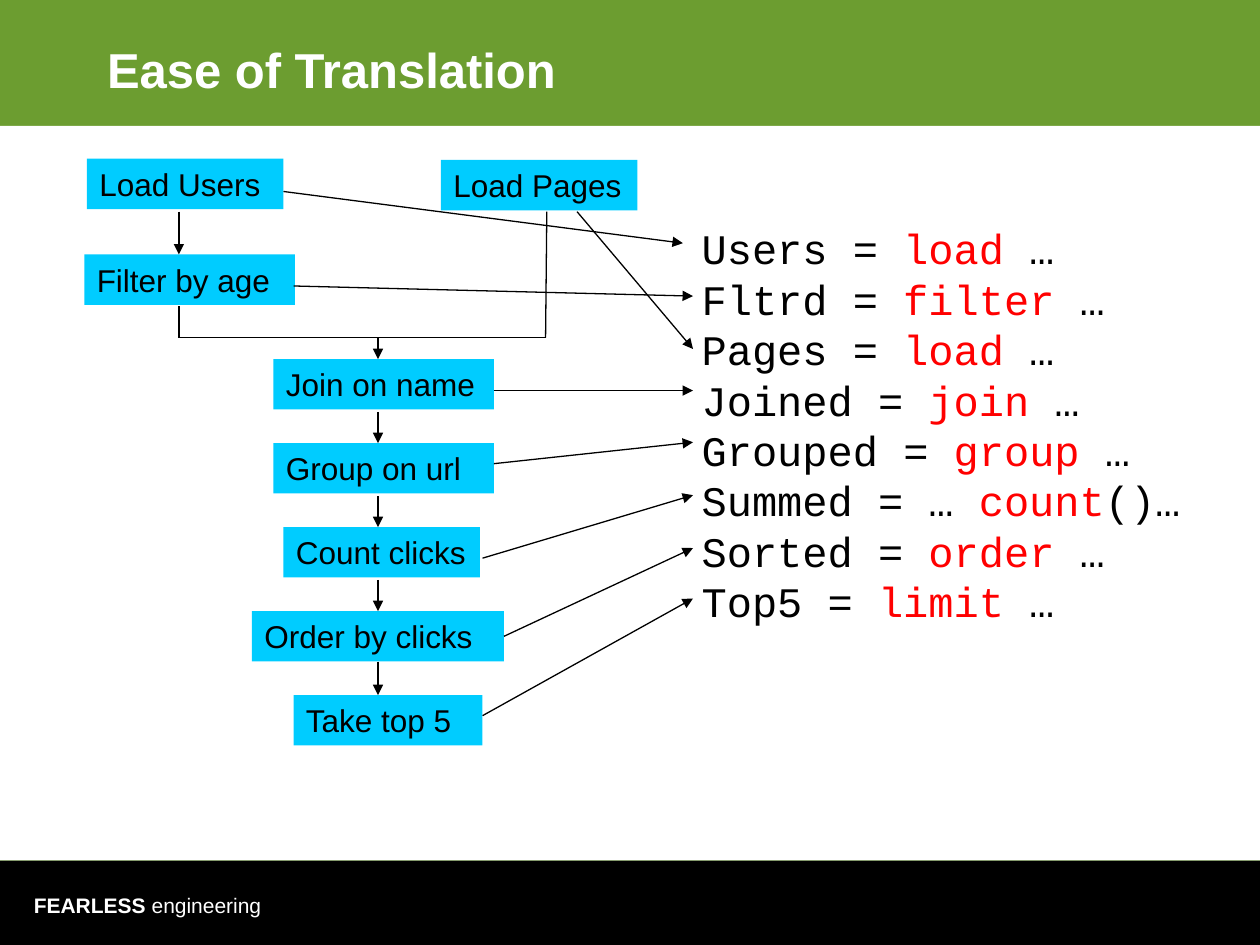
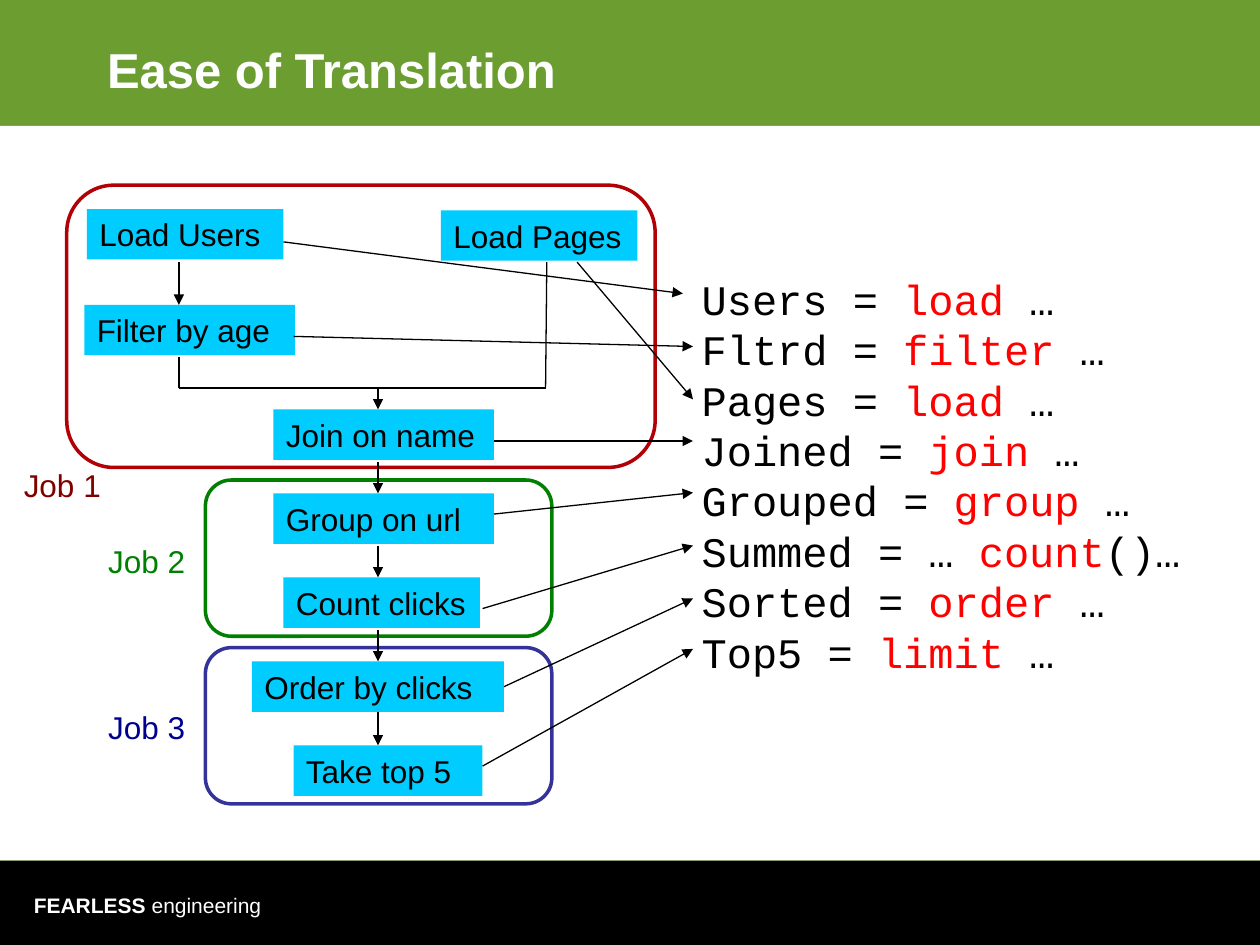
"""Build two slides that map a data flow to script statements."""
from lxml.etree import SubElement
from pptx import Presentation
from pptx.dml.color import RGBColor
from pptx.enum.shapes import MSO_CONNECTOR as CONNECTOR, MSO_SHAPE as SHAPE
from pptx.enum.text import MSO_ANCHOR as ANCHOR, PP_ALIGN as ALIGN
from pptx.oxml.ns import qn
from pptx.util import Inches, Pt

GREEN, BLACK, WHITE, CYAN, RED = "6C9D30", "000000", "FFFFFF", "00CCFF", "FF0000"
STEP = 2 / 3
STACK_TOP = 2.85


def add_span(para, text, size, color, font="Arial", bold=False):
    span = para.add_run()
    span.text = text
    span.font.name, span.font.size, span.font.bold = font, Pt(size), bold
    span.font.color.rgb = RGBColor.from_string(color)


def add_line(page, x1, y1, x2, y2, arrow=True):
    line = page.shapes.add_connector(CONNECTOR.STRAIGHT, Inches(x1), Inches(y1), Inches(x2), Inches(y2))
    line.line.width = Pt(0.75)
    line.line.color.rgb = RGBColor.from_string(BLACK)
    if arrow:
        SubElement(line.line._get_or_add_ln(), qn("a:tailEnd"), type="triangle")
    SubElement(line._element.spPr, qn("a:effectLst"))
    return line


flow_boxes = [
    ("Load Users", 0.69, 1.26, 1.56),
    ("Load Pages", 3.5, 1.27, 1.56),
    ("Filter by age", 0.67, 2.02, 1.67),
]
stacked = [
    ("Join on name", 2.17, 1.75),
    ("Group on url", 2.17, 1.75),
    ("Count clicks", 2.25, 1.56),
    ("Order by clicks", 2, 2),
    ("Take top 5", 2.33, 1.5),
]
flow_boxes += [(name, left, STACK_TOP + i * STEP, width) for i, (name, left, width) in enumerate(stacked)]

code_arrows = [
    (2.25, 1.52, 5.42, 1.93),
    (2.33, 2.27, 5.5, 2.35),
    (4.58, 1.68, 5.5, 2.77),
    (3.92, 3.1, 5.5, 3.1),
    (3.92, 3.68, 5.5, 3.51),
    (3.83, 4.43, 5.5, 3.93),
    (3.83, 5.68, 5.5, 4.75),
]
join_lines = [
    (1.42, 2.43, 1.42, 2.68),
    (1.42, 2.68, 4.33, 2.68),
    (4.33, 2.68, 4.34, 1.68),
]
statements = [
    ("Users = ", "load", " …"),
    ("Fltrd = ", "filter", " … "),
    ("Pages = ", "load", " …"),
    ("Joined = ", "join", " …"),
    ("Grouped = ", "group", " …"),
    ("Summed = … ", "count", "()…"),
    ("Sorted = ", "order", " …"),
    ("Top5 = ", "limit", " …"),
]
jobs = [
    ("Job 3", 0.76, 5.57, "000090", (1.63, 5.14, 2.75, 1.24), "333399"),
    ("Job 2", 0.76, 4.25, "008000", (1.63, 3.81, 2.75, 1.24), "008000"),
    ("Job 1", 0.09, 3.65, "800000", (0.53, 1.47, 4.67, 2.24), "B10006"),
]

deck = Presentation()
deck.slide_width, deck.slide_height = Inches(10), Inches(7.5)
master = deck.slide_master
master.background.fill.solid()
master.background.fill.fore_color.rgb = RGBColor.from_string(GREEN)
pages = [deck.slides.add_slide(deck.slide_layouts[5]) for _ in range(2)]

shared = []
for top, height, color in [(6.83, 0.67, BLACK), (1, 5.83, WHITE)]:
    band = pages[0].shapes.add_shape(SHAPE.RECTANGLE, 0, Inches(top), Inches(10), Inches(height))
    band.shadow.inherit = False
    band.fill.solid()
    band.fill.fore_color.rgb = RGBColor.from_string(color)
    band.line.fill.background()
    shared.append(band)
footer = pages[0].shapes.add_textbox(Inches(0.17), Inches(7.03), Inches(4.33), Inches(0.3))
footer.text_frame.word_wrap = True
footer.text_frame.vertical_anchor = ANCHOR.MIDDLE
add_span(footer.text_frame.paragraphs[0], "FEARLESS", 12, WHITE, bold=True)
add_span(footer.text_frame.paragraphs[0], " engineering", 12, WHITE)
shared.append(footer)
for number, shape in enumerate(shared, 20):
    shape._element.xpath(".//p:cNvPr")[0].set("id", str(number))
    master.shapes.element.append(shape._element)

for page, shift, page_jobs in zip(pages, (0, 0.4), ([], jobs)):
    title = page.shapes.title
    title.left, title.top, title.width, title.height = Inches(0.75), Inches(0.17), Inches(8.5), Inches(0.75)
    title.text_frame.vertical_anchor = ANCHOR.MIDDLE
    para = title.text_frame.paragraphs[0]
    para.alignment = ALIGN.LEFT
    add_span(para, "Ease of Translation", 28, WHITE, bold=True)

    for name, left, top, color, frame, outline in page_jobs:
        job = page.shapes.add_shape(SHAPE.ROUNDED_RECTANGLE, *map(Inches, frame))
        job.shadow.inherit = False
        job.fill.solid()
        job.fill.fore_color.rgb = RGBColor.from_string(WHITE)
        job.line.color.rgb = RGBColor.from_string(outline)
        job.line.width = Pt(2)

    boxes = {}
    for name, left, top, width in flow_boxes:
        box = page.shapes.add_shape(
            SHAPE.RECTANGLE, Inches(left), Inches(top + shift), Inches(width), Inches(0.4))
        box.shadow.inherit = False
        box.fill.solid()
        box.fill.fore_color.rgb = RGBColor.from_string(CYAN)
        box.line.fill.background()
        box.text_frame.word_wrap = True
        box.text_frame.vertical_anchor = ANCHOR.TOP
        para = box.text_frame.paragraphs[0]
        para.alignment = ALIGN.LEFT
        add_span(para, name, 18, BLACK)
        boxes[name] = box

    add_line(page, 1.42, 1.68 + shift, 1.42, 2.02 + shift)
    add_line(page, 3, 2.68 + shift, 3, STACK_TOP + shift)
    for x1, y1, x2, y2 in join_lines:
        add_line(page, x1, y1 + shift, x2, y2 + shift, arrow=False)
    for i in range(len(stacked) - 1):
        top = STACK_TOP + i * STEP + shift
        down = add_line(page, 3, top + 0.42, 3, top + STEP)
        if stacked[i + 1][0] == "Order by clicks":
            down.end_connect(boxes["Order by clicks"], 0)
        if stacked[i][0] == "Order by clicks":
            down.begin_connect(boxes["Order by clicks"], 2)
    for x1, y1, x2, y2 in code_arrows:
        add_line(page, x1, y1 + shift, x2, y2 + shift)
    order_arrow = add_line(page, 4, 5.05 + shift, 5.5, 4.35 + shift)
    order_arrow.begin_connect(boxes["Order by clicks"], 3)

    code = page.shapes.add_textbox(Inches(5.47), Inches(1.72 + shift), Inches(4.17), Inches(3.3))
    code.text_frame.word_wrap = True
    para = code.text_frame.paragraphs[0]
    para.line_spacing = Pt(28.8)
    for i, (target, keyword, rest) in enumerate(statements):
        if i:
            para.add_line_break()
        for text, color in [(target, BLACK), (keyword, RED), (rest, BLACK)]:
            add_span(para, text, 24, color, "Courier New")

    for name, left, top, color, frame, outline in page_jobs:
        label = page.shapes.add_textbox(Inches(left), Inches(top), Inches(0.81), Inches(0.4))
        label.text_frame.word_wrap = False
        add_span(label.text_frame.paragraphs[0], name, 18, color)

deck.save("out.pptx")
